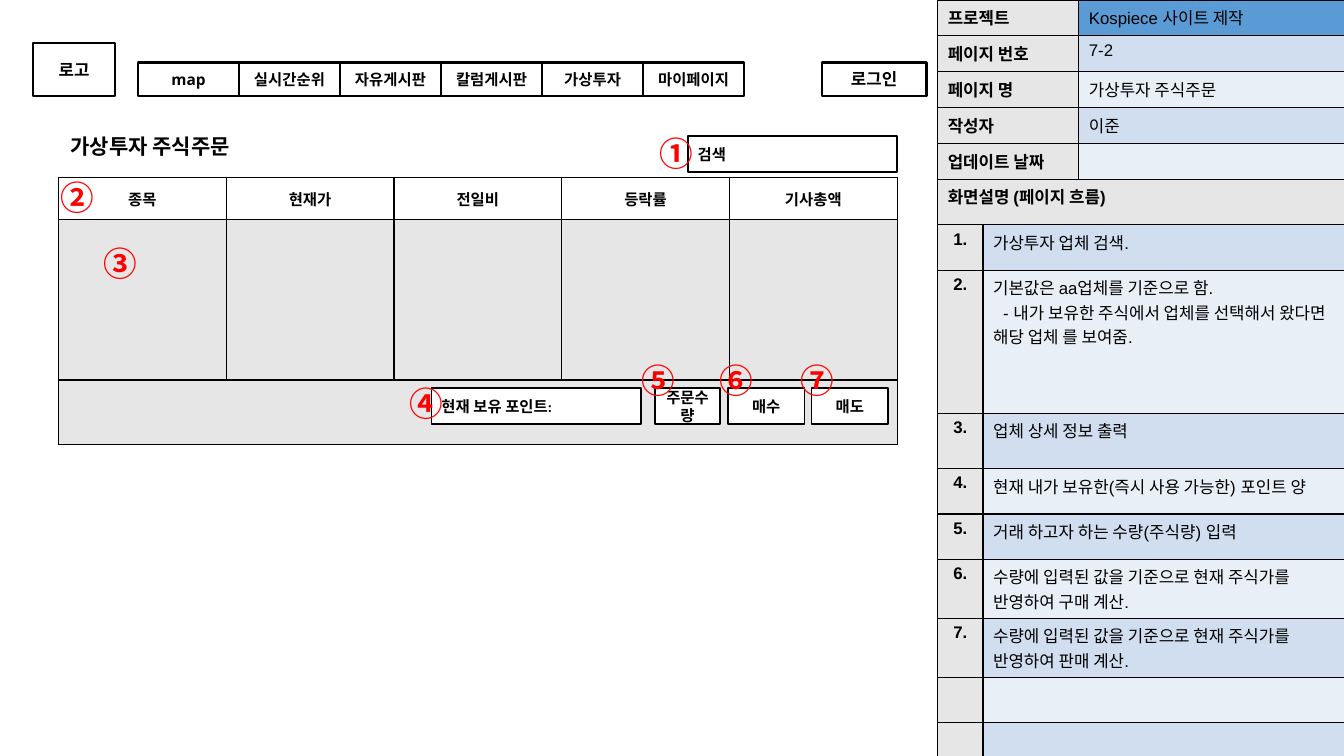
from dataclasses import dataclass

from lxml.etree import SubElement
from pptx import Presentation
from pptx.dml.color import RGBColor
from pptx.enum.shapes import MSO_SHAPE as Preset
from pptx.enum.text import MSO_ANCHOR as Anchor, PP_ALIGN as Align
from pptx.oxml.ns import qn
from pptx.util import Inches, Pt


@dataclass(frozen=True)
class Theme:
    black: str = "000000"
    white: str = "FFFFFF"
    grey: str = "E7E6E6"
    blue: str = "5B9BD5"
    bands: tuple = ("E9EFF7", "D0DEEF")
    red: str = "FF0000"
    table_font: str = "Arial"
    field_font: str = "Cabin"
    menu_font: str = "Open Sans"
    korean_font: str = "Noto Sans CJK KR"
    small: int = 11
    body: int = 12
    title: int = 15
    marker: int = 24


THEME = Theme()


@dataclass(frozen=True)
class Box:
    """An area measured in columns and rows of a 0.1 inch grid."""
    left: float
    top: float
    width: float
    height: float

    def inner(self, column, row, width, height):
        return Box(self.left + column, self.top + row, width, height)

    def lengths(self):
        return [grid(n) for n in (self.left, self.top, self.width, self.height)]


def grid(count):
    return Inches(count / 10)


def add_text(paragraph, text, font, size, color=THEME.black, bold=True, align=Align.LEFT):
    paragraph.alignment = align
    run = paragraph.add_run()
    run.text = text
    run.font.name = font
    run.font.size = Pt(size)
    run.font.bold = bold
    run.font.color.rgb = RGBColor.from_string(color)
    SubElement(run.font._element, qn("a:ea"), typeface=THEME.korean_font)


def set_margins(frame, vertical):
    frame.word_wrap = True
    frame.margin_left = frame.margin_right = grid(1)
    frame.margin_top = frame.margin_bottom = grid(vertical)


def add_button(slide, box, text, font, size, fill=None, line=1.5, align=Align.CENTER):
    shape = slide.shapes.add_shape(Preset.RECTANGLE, *box.lengths())
    shape.shadow.inherit = False
    if fill:
        shape.fill.solid()
        shape.fill.fore_color.rgb = RGBColor.from_string(fill)
    else:
        shape.fill.background()
    shape.line.color.rgb = RGBColor.from_string(THEME.black)
    shape.line.width = Pt(line)
    frame = shape.text_frame
    set_margins(frame, 0.5 if fill else 1)
    frame.vertical_anchor = Anchor.MIDDLE
    add_text(frame.paragraphs[0], text, font, size, align=align)


def add_label(slide, box, text, font, size, color=THEME.black, anchor=Anchor.TOP):
    frame = slide.shapes.add_textbox(*box.lengths()).text_frame
    set_margins(frame, 0.5)
    frame.vertical_anchor = anchor
    add_text(frame.paragraphs[0], text, font, size, color)


def style_cell(cell, fill):
    """Fill a cell, outline it in black and size its empty line."""
    properties = cell._tc.get_or_add_tcPr()
    for side in ("a:lnL", "a:lnR", "a:lnT", "a:lnB"):
        line = SubElement(properties, qn(side), w=str(Pt(1)))
        SubElement(SubElement(line, qn("a:solidFill")), qn("a:srgbClr"), val=THEME.black)
    cell.fill.solid()
    cell.fill.fore_color.rgb = RGBColor.from_string(fill)
    if not cell.text_frame.text:
        SubElement(cell.text_frame.paragraphs[0]._p, qn("a:endParaRPr"), sz=str(THEME.body * 100))


def add_grid_table(slide, box, columns, rows):
    frame = slide.shapes.add_table(len(rows), len(columns), *box.lengths())
    table = frame.table
    table.first_row = table.horz_banding = False
    for column, width in zip(table.columns, columns):
        column.width = grid(width)
    for row, height in zip(table.rows, rows):
        row.height = grid(height)
    return table


def add_side_table(slide, box, columns, heights, entries, label_align):
    """Draw grey labels beside banded descriptions; a lone label spans its row."""
    table = add_grid_table(slide, box, columns, heights)
    for index, (label, *lines) in enumerate(entries):
        label_cell, text_cell = table.cell(index, 0), table.cell(index, 1)
        if label:
            add_text(label_cell.text_frame.paragraphs[0], label, THEME.table_font, THEME.body,
                     align=label_align if lines else Align.LEFT)
        for number, line in enumerate(filter(None, lines)):
            frame = text_cell.text_frame
            paragraph = frame.add_paragraph() if number else frame.paragraphs[0]
            if line.startswith("-"):
                paragraph._p.get_or_add_pPr().set("indent", str(grid(1)))
            add_text(paragraph, line, THEME.table_font, THEME.body, bold=False)
        style_cell(label_cell, THEME.grey)
        style_cell(text_cell, THEME.bands[index % 2] if index else THEME.blue)
        if not lines:
            label_cell.merge(text_cell)


def add_description(slide, box):
    page_facts = [
        ("프로젝트", "Kospiece 사이트 제작"),
        ("페이지 번호", "7-2"),
        ("페이지 명", "가상투자 주식주문"),
        ("작성자", "이준"),
        ("업데이트 날짜", ""),
    ]
    page_flow = [
        ("화면설명 (페이지 흐름)",),
        ("1.", "가상투자 업체 검색."),
        ("2.", "기본값은 aa업체를 기준으로 함.",
         "- 내가 보유한 주식에서 업체를 선택해서 왔다면 해당 업체 를 보여줌."),
        ("3.", "업체 상세 정보 출력"),
        ("4.", "현재 내가 보유한(즉시 사용 가능한) 포인트 양"),
        ("5.", "거래 하고자 하는 수량(주식량) 입력"),
        ("6.", "수량에 입력된 값을 기준으로 현재 주식가를 반영하여 구매 계산."),
        ("7.", "수량에 입력된 값을 기준으로 현재 주식가를 반영하여 판매 계산."),
        ("", ""),
        ("", ""),
    ]
    facts_height = 17.8
    flow_heights = [4.5, 4.5, 14.2, 5.5, 4.5, 4.5, 5.2, 5.2, 4.5, 4.5]
    add_side_table(slide, box.inner(0, 0, box.width, facts_height), [14, box.width - 14],
                   [facts_height / 5] * 5, page_facts, Align.LEFT)
    add_side_table(slide, box.inner(0, facts_height, box.width, sum(flow_heights)),
                   [4.5, box.width - 4.5], flow_heights, page_flow, Align.CENTER)


def add_header(slide, box):
    menu = ["map", "실시간순위", "자유게시판", "칼럼게시판", "가상투자", "마이페이지"]
    menu_top, menu_height, step = 1.9, 3.3, 10.02
    add_button(slide, box.inner(0, 0, 8.1, box.height), "로고", THEME.menu_font, THEME.body)
    for index, text in enumerate(menu):
        add_button(slide, box.inner(10.4 + index * step, menu_top, 10, menu_height), text,
                   THEME.menu_font, THEME.small)
    add_button(slide, box.inner(box.width - 10.4, menu_top, 10.4, menu_height), "로그인",
               THEME.menu_font, THEME.body)


def add_order_panel(slide, box):
    headings = ["종목", "현재가", "전일비", "등락률", "기사총액"]
    fields = [
        ("검색", 62.4, 0.9, 20.8, Align.LEFT),
        ("현재 보유 포인트:", 37, 25.9, 20.8, Align.LEFT),
        ("주문수량", 59.2, 25.9, 6.4, Align.CENTER),
        ("매수", 66.4, 25.9, 7.6, Align.CENTER),
        ("매도", 74.7, 25.9, 7.6, Align.CENTER),
    ]
    markers = [("①", 58.6, 0.1), ("②", -0.8, 4.5), ("③", 3.5, 11), ("④", 33.8, 24.9),
               ("⑤", 56.8, 22.6), ("⑥", 64.6, 22.6), ("⑦", 72.6, 22.6)]
    add_label(slide, box.inner(0.2, 0, 24.1, 3.7), "가상투자 주식주문", THEME.menu_font,
              THEME.title, anchor=Anchor.MIDDLE)
    table = add_grid_table(slide, box.inner(0, 5, box.width, 26.5),
                           [box.width / len(headings)] * len(headings), [4.2, 15.9, 6.4])
    for column, heading in enumerate(headings):
        cell = table.cell(0, column)
        cell.vertical_anchor = Anchor.MIDDLE
        add_text(cell.text_frame.paragraphs[0], heading, THEME.table_font, THEME.small,
                 align=Align.CENTER)
        for row, fill in enumerate((THEME.white, THEME.grey, THEME.grey)):
            style_cell(table.cell(row, column), fill)
    table.cell(2, 0).merge(table.cell(2, len(headings) - 1))
    for text, column, row, width, align in fields:
        add_button(slide, box.inner(column, row, width, 3.6), text, THEME.field_font,
                   THEME.small, THEME.white, 1.25, align)
    for text, column, row in markers:
        add_label(slide, box.inner(column, row, 6, 5), text, THEME.korean_font,
                  THEME.marker, THEME.red)


def main():
    presentation = Presentation()
    presentation.slide_width, presentation.slide_height = Inches(13.33), Inches(7.5)
    slide = presentation.slides.add_slide(presentation.slide_layouts[6])
    add_description(slide, Box(93, 0, 40.4, 75))
    add_order_panel(slide, Box(5.8, 12.6, 83.2, 31.5))
    add_header(slide, Box(3.3, 4.3, 88.6, 5.2))
    presentation.save("out.pptx")


if __name__ == "__main__":
    main()
